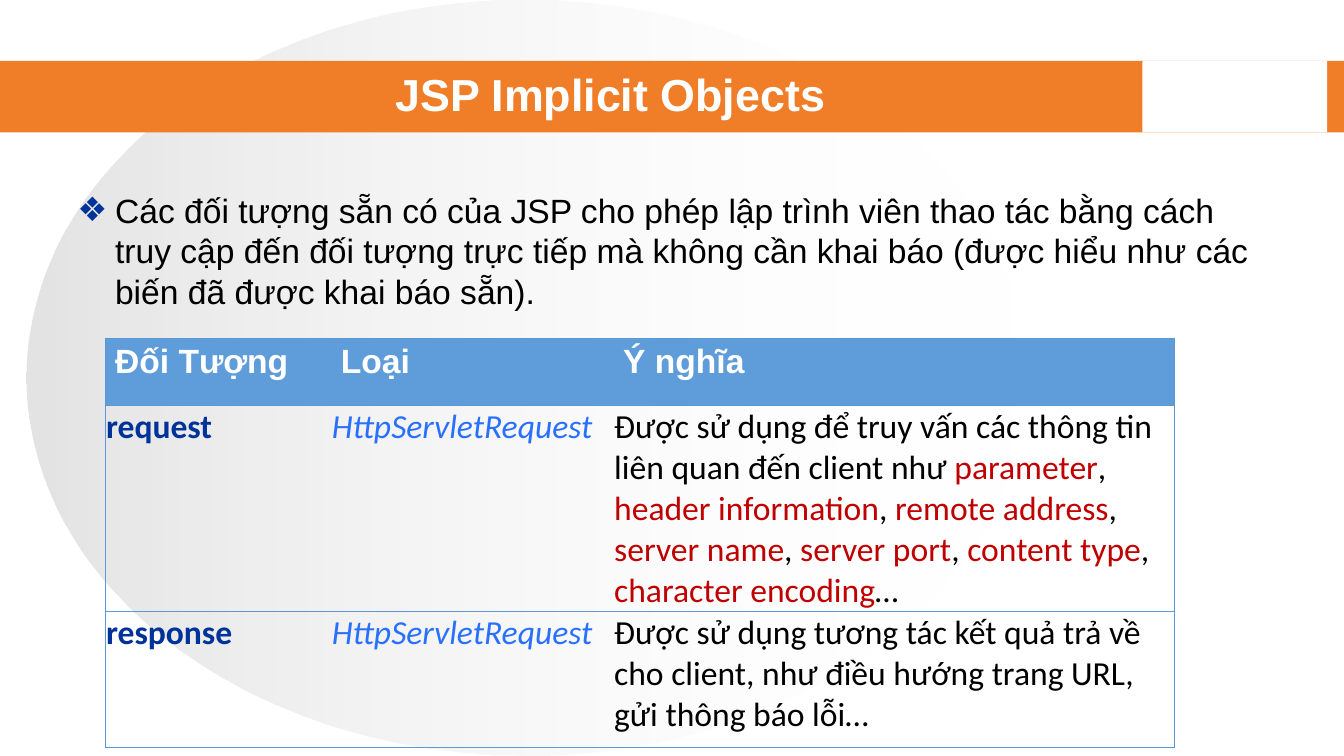
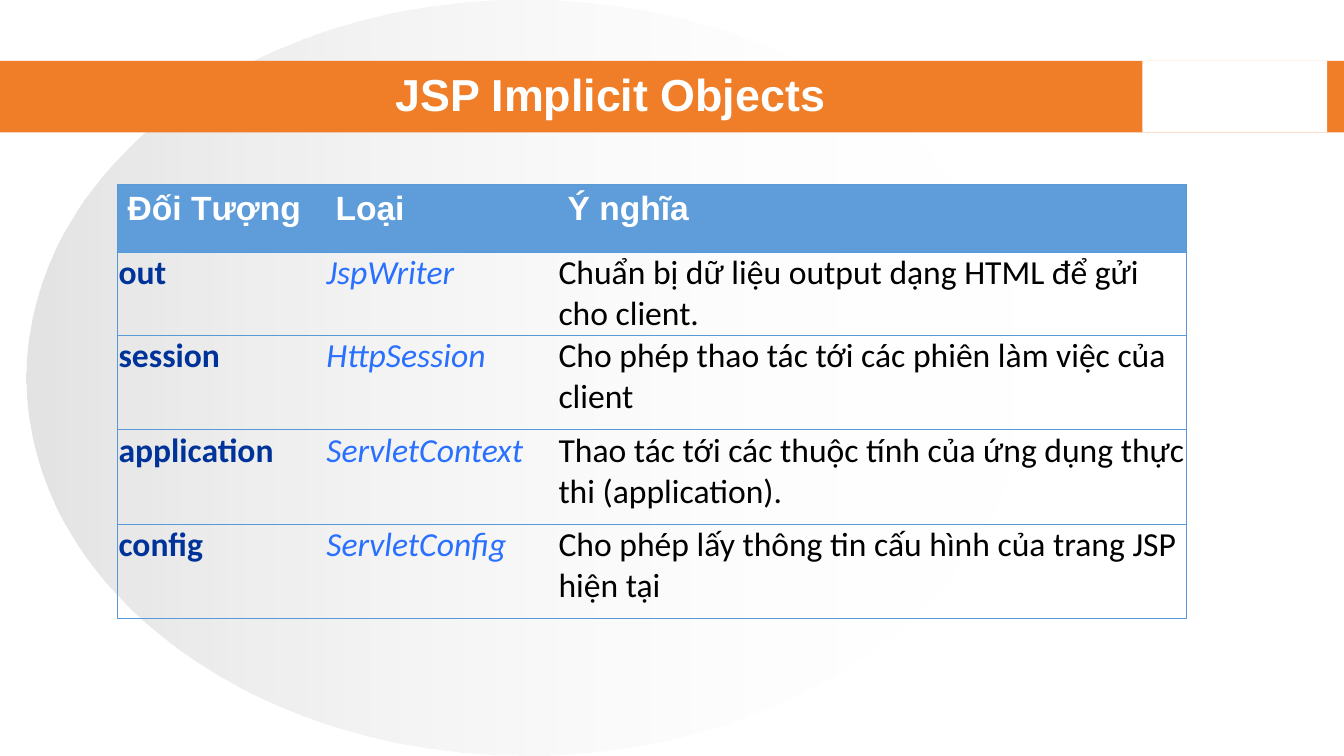
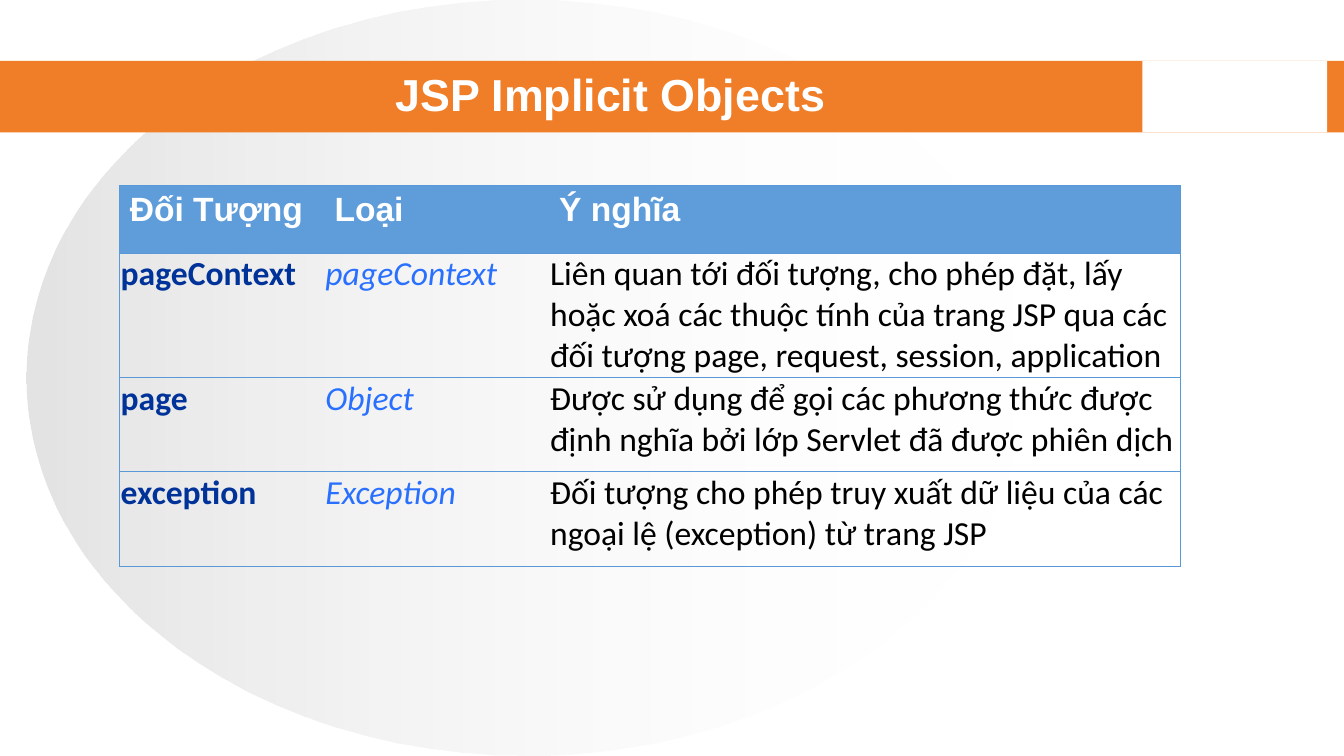
from lxml.etree import SubElement as Sub
from pptx import Presentation
from pptx.dml.color import RGBColor as RGB
from pptx.enum.shapes import MSO_SHAPE as SHAPE
from pptx.enum.text import MSO_ANCHOR as ANCHOR, MSO_AUTO_SIZE as FIT, PP_ALIGN as ALIGN
from pptx.oxml.ns import qn
from pptx.util import Pt

PX = 9525
COLORS = {name: RGB.from_string(code) for name, code in {
    "white": "FFFFFF", "black": "000000", "silver": "C0C0C0", "orange": "F07D27",
    "navy": "003399", "blue": "2970FF", "red": "C00000",
    "head": "5E9CDA", "border": "5999D8"}.items()}
NO_STYLE = "{2D5ABB26-0587-4C30-8999-92F81FD0307C}"
HEADS = ["Đối Tượng", "Loại", "Ý nghĩa"]
INTRO = ("Các đối tượng sẵn có của JSP cho phép lập trình viên thao tác bằng cách truy cập "
         "đến đối tượng trực tiếp mà không cần khai báo (được hiểu như các biến đã được "
         "khai báo sẵn).")

# Text between bars is red.
SLIDES = [
    {"intro": INTRO, "at": (100, 322), "cols": (215, 269, 535), "rows": (64, 196, 130),
     "items": [
         ("request", "HttpServletRequest",
          "Được sử dụng để truy vấn các thông tin liên quan đến client như |parameter|,"
          "| header information|,| remote address|,| server name|,| server port|,"
          "| content type|,| character encoding|…"),
         ("response", "HttpServletRequest",
          "Được sử dụng tương tác kết quả trả về cho client, như điều hướng trang URL, "
          "gửi thông báo lỗi…")]},
    {"at": (112, 176), "cols": (198, 221, 599), "rows": (64, 79, 90, 90, 90),
     "items": [
         ("out", "JspWriter", "Chuẩn bị dữ liệu output dạng HTML để gửi cho client."),
         ("session", "HttpSession", "Cho phép thao tác tới các phiên làm việc của client"),
         ("application", "ServletContext",
          "Thao tác tới các thuộc tính của ứng dụng thực thi (application)."),
         ("config", "ServletConfig",
          "Cho phép lấy thông tin cấu hình của trang JSP hiện tại")]},
    {"at": (114, 177), "cols": (195, 214, 601), "rows": (64, 118, 90, 90),
     "items": [
         ("pageContext", "pageContext",
          "Liên quan tới đối tượng, cho phép đặt, lấy hoặc xoá các thuộc tính của trang JSP "
          "qua các đối tượng page, request, session, application"),
         ("page", "Object",
          "Được sử dụng để gọi các phương thức được định nghĩa bởi lớp Servlet đã được "
          "phiên dịch"),
         ("exception", "Exception",
          "Đối tượng cho phép truy xuất dữ liệu của các ngoại lệ (exception) từ trang JSP")]},
]


def place(shape, *box):
    """Move and size a shape to left, top, width, height in px."""
    shape.left, shape.top, shape.width, shape.height = [n * PX for n in box]


def style(para, size, face, color, bold=False, italic=False):
    font = para.font
    font.size, font.name, font.bold, font.italic = Pt(size), face, bold, italic
    font.color.rgb = COLORS[color]


prs = Presentation()
prs.slide_width, prs.slide_height = 1280 * PX, 720 * PX
master = prs.slide_master
place(master.placeholders[0], 160, 64, 843, 51)
place(master.placeholders[1], 64, 176, 1158, 488)

for number, data in enumerate(SLIDES):
    slide = prs.slides.add_slide(prs.slide_layouts[1 if "intro" in data else 5])

    # Shared backdrop: drawn once, then moved to the master
    if number == 0:
        backdrop = [(SHAPE.OVAL, None, (25, 0, 952, 720)),
                    (SHAPE.RECTANGLE, "orange", (0, 58, 1280, 68)),
                    (SHAPE.RECTANGLE, "white", (1088, 58, 176, 68))]
        for depth, (kind, color, box) in enumerate(backdrop):
            shape = slide.shapes.add_shape(kind, *[n * PX for n in box])
            shape.shadow.inherit = False
            if color:
                shape.fill.solid()
                shape.fill.fore_color.rgb = COLORS[color]
            else:
                shape.fill.gradient()
                shape.fill.gradient_angle = 0
                for stop, tone, alpha in zip(shape.fill.gradient_stops,
                                             ("silver", "white"), (44000, 0)):
                    stop.color.rgb = COLORS[tone]
                nodes = shape.element.spPr.iter(qn("a:srgbClr"))
                for node, alpha in zip(list(nodes), (44000, 0)):
                    Sub(node, qn("a:alpha"), val=str(alpha))
            shape.line.fill.background()
            master.shapes.element.insert(2 + depth, shape.element)

    frame = slide.shapes.title.text_frame
    frame.text = "JSP Implicit Objects"
    frame.auto_size, frame.vertical_anchor = FIT.NONE, ANCHOR.MIDDLE
    frame.paragraphs[0].alignment = ALIGN.CENTER
    style(frame.paragraphs[0], 32, "Arial", "white", bold=True)

    if "intro" in data:
        frame = slide.placeholders[1].text_frame
        frame.text = data["intro"]
        frame.auto_size = FIT.NONE
        para = frame.paragraphs[0]
        para.space_before = Pt(0)
        props = para._p.get_or_add_pPr()
        props.set("marL", str(36 * PX))
        props.set("indent", str(-36 * PX))
        Sub(Sub(props, qn("a:buClr")), qn("a:srgbClr"), val=str(COLORS["navy"]))
        Sub(props, qn("a:buChar"), char="❖")
        style(para, 24, "Arial", "black")

    cols, rows = data["cols"], data["rows"]
    box = (*data["at"], sum(cols), sum(rows))
    table = slide.shapes.add_table(len(rows), len(cols), *[n * PX for n in box]).table
    table.horz_banding = False
    table._tbl.tblPr.find(qn("a:tableStyleId")).text = NO_STYLE
    for col, width in zip(table.columns, cols):
        col.width = width * PX
    for row, height in zip(table.rows, rows):
        row.height = height * PX

    for r, texts in enumerate([HEADS] + data["items"]):
        for c, text in enumerate(texts):
            cell = table.cell(r, c)
            para = cell.text_frame.paragraphs[0]
            if r == 0:
                style(para, 24, "Arial", "white", bold=True)
            else:
                style(para, 24, "Calibri", ("navy", "blue", "black")[c], c == 0, c == 1)
                cell.margin_left = cell.margin_right = cell.margin_top = PX
                cell.margin_bottom = 0
            for i, part in enumerate(text.split("|")):
                run = para.add_run()
                run.text = part
                if i % 2:
                    run.font.color.rgb = COLORS["red"]

            sides = ["L"] * (c == 0) + ["R"] * (c == len(cols) - 1) + ["T", "B"]
            for side in sides:
                line = Sub(cell._tc.get_or_add_tcPr(), qn("a:ln" + side), w=str(Pt(0.75)))
                Sub(Sub(line, qn("a:solidFill")), qn("a:srgbClr"), val=str(COLORS["border"]))
            if r == 0:
                cell.fill.solid()
                cell.fill.fore_color.rgb = COLORS["head"]
            else:
                cell.fill.background()

prs.save("out.pptx")
